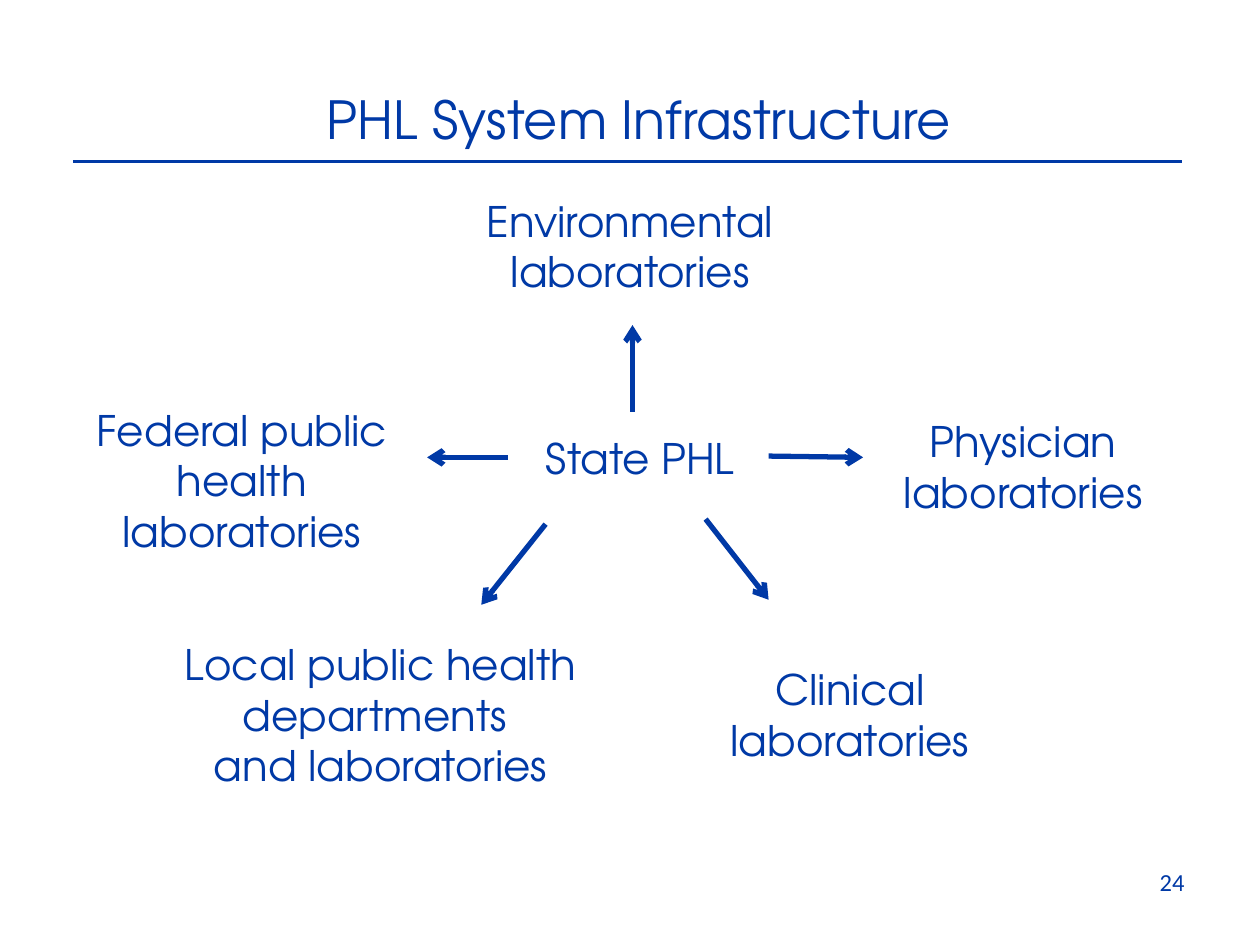
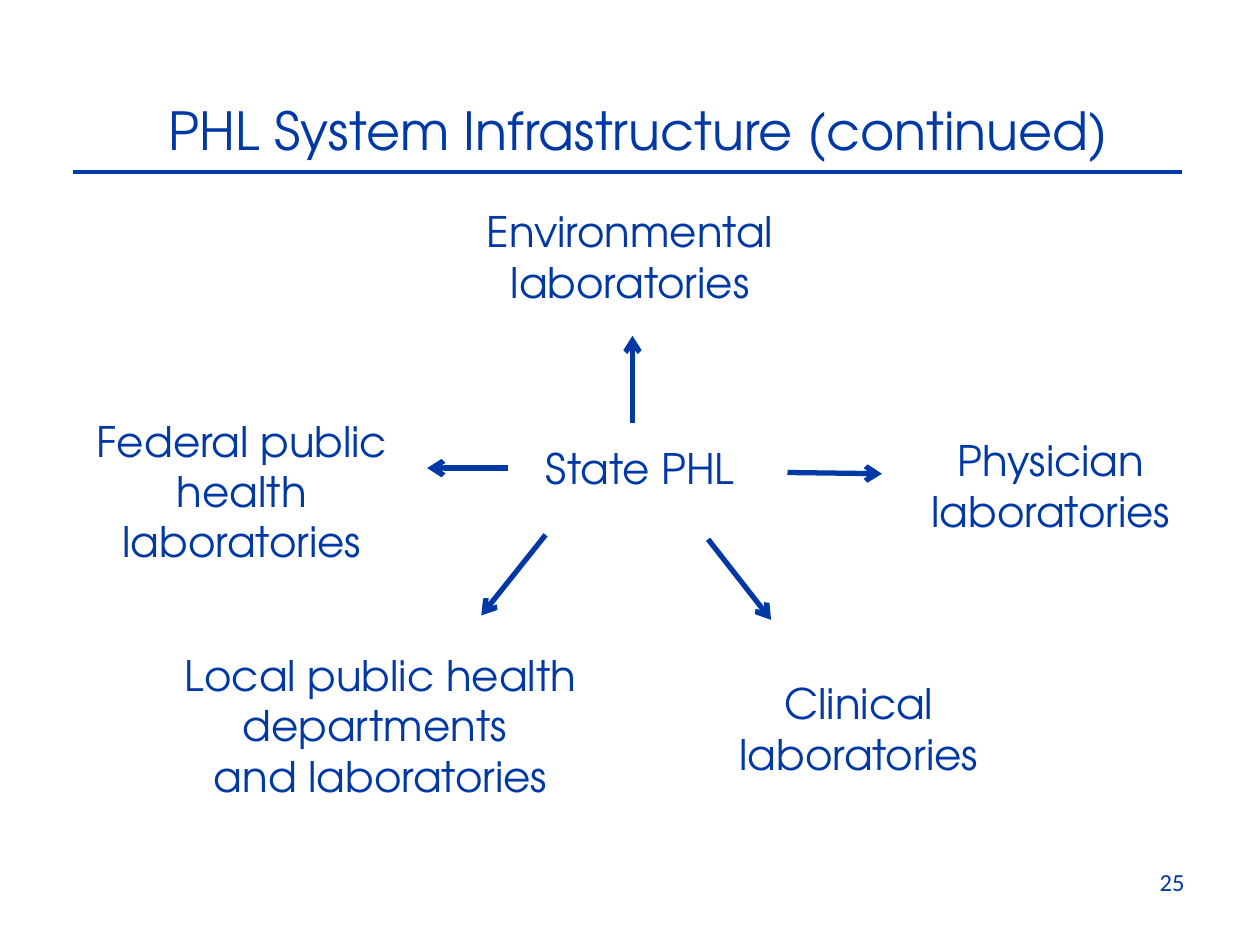
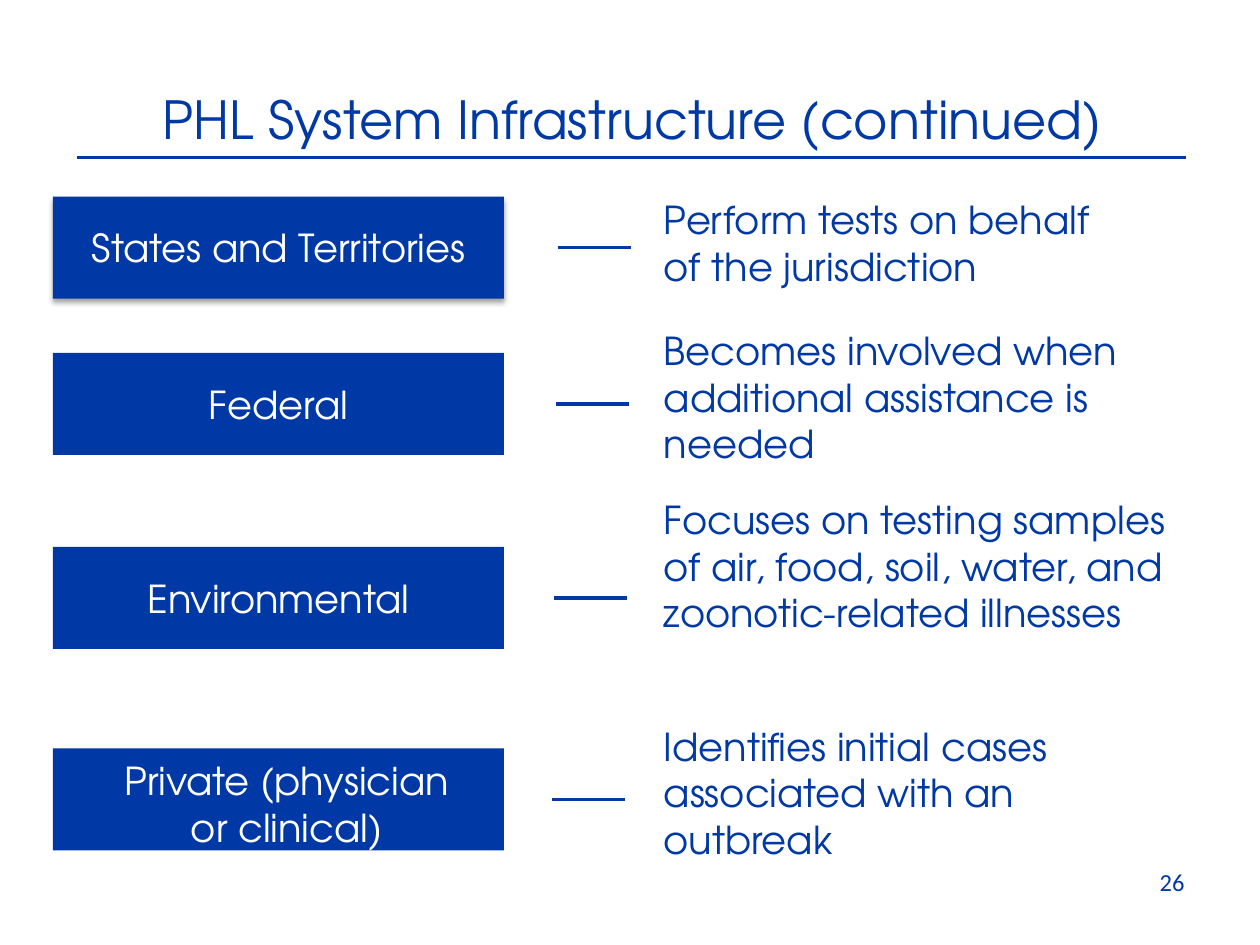
from dataclasses import dataclass

from lxml import etree
from pptx import Presentation
from pptx.dml.color import RGBColor
from pptx.enum.shapes import MSO_CONNECTOR, MSO_SHAPE
from pptx.enum.text import MSO_ANCHOR, MSO_AUTO_SIZE, PP_ALIGN
from pptx.oxml import parse_xml
from pptx.oxml.ns import nsdecls, qn
from pptx.util import Inches, Pt

LEFT, MID, RIGHT = PP_ALIGN.LEFT, PP_ALIGN.CENTER, PP_ALIGN.RIGHT
TOP, CENTER = MSO_ANCHOR.TOP, MSO_ANCHOR.MIDDLE
GROW = MSO_AUTO_SIZE.SHAPE_TO_FIT_TEXT
RECT, LINE = MSO_SHAPE.RECTANGLE, MSO_CONNECTOR.STRAIGHT
WIDE, HIGH = Inches(10), Inches(7.5)
COLS, ROWS = 100, 75


@dataclass(frozen=True)
class Theme:
    blue: RGBColor = RGBColor(0x00, 0x39, 0xA6)
    white: RGBColor = RGBColor(0xFF, 0xFF, 0xFF)
    font: str = "TeX Gyre Adventor"
    plain: str = "Calibri"
    title: int = 30
    label: int = 24
    body: int = 22
    page: int = 14
    rule: int = 2
    arrow: int = 3


THEME = Theme()


def col(n):
    return int(WIDE * n / COLS)


def row(n):
    return int(HIGH * n / ROWS)


def area(x, y, w, h):
    return col(x), row(y), col(w), row(h)


def write(shape, text, size, align=MID, color=THEME.blue, font=THEME.font, anchor=TOP):
    frame = shape.text_frame
    frame.text = text
    frame.word_wrap = True
    frame.vertical_anchor = anchor
    for para in frame.paragraphs:
        para.alignment = align
        for run in para.runs:
            run.font.size = Pt(size)
            run.font.name = font
            run.font.color.rgb = color
    return frame


def label(slide, text, spot, size=THEME.label, align=MID):
    box = slide.shapes.add_textbox(*area(*spot))
    write(box, text, size, align).auto_size = GROW


def line(slide, start, end, width=THEME.rule, head=False):
    (x1, y1), (x2, y2) = start, end
    link = slide.shapes.add_connector(LINE, col(x1), row(y1), col(x2), row(y2))
    link.line.color.rgb = THEME.blue
    link.line.width = Pt(width)
    if head:
        etree.SubElement(link.line._get_or_add_ln(), qn("a:tailEnd"), type="arrow")
    etree.SubElement(link._element.spPr, qn("a:effectLst"))


def shade(shape):
    shape._element.spPr.append(parse_xml(
        f'<a:effectLst {nsdecls("a")}>'
        '<a:outerShdw blurRad="39370" dist="22860" dir="5400000" rotWithShape="0">'
        '<a:srgbClr val="000000"><a:alpha val="35000"/></a:srgbClr>'
        '</a:outerShdw></a:effectLst>'))


def block(slide, text, y, nudge, raised):
    box = slide.shapes.add_shape(RECT, *area(4.2, y, 35.8, 8.1))
    box.fill.solid()
    box.fill.fore_color.rgb = THEME.blue
    box.line.fill.background()
    if raised:
        shade(box)
    else:
        box.shadow.inherit = False
    frame = write(box, text, THEME.body, color=THEME.white, anchor=CENTER)
    frame.margin_left = col(1 + nudge)
    frame.margin_top = row(nudge / 2)
    frame.margin_bottom = 0


def page(deck, title, spot, rule, number):
    slide = deck.slides.add_slide(deck.slide_layouts[5])
    head = slide.shapes.title
    head.left, head.top, head.width, head.height = area(*spot, 80.4, 6.1)
    write(head, title, THEME.title).auto_size = GROW
    x, y = rule
    line(slide, (x, y), (x + 88, y))
    foot = slide.shapes.add_textbox(*area(71.7, 68.3, 23.3, 5.2))
    write(foot, str(number), THEME.page, RIGHT, font=THEME.plain)
    return slide


def star(deck, title, number, drop, moves):
    slide = page(deck, title, (10.5, 6.4 + drop), (5.8, 12.8 + drop), number)
    labels = [
        ("State PHL", 35.8, 33.8, 30, 5, "hub"),
        ("Environmental\nlaboratories", 35, 15, 30, 9.1, "north"),
        ("Physician\nlaboratories", 66.2, 32.5, 30, 9.1, "east"),
        ("Local public health departments \nand laboratories", 12.5, 50.2, 35.4, 13.1, "local"),
        ("Federal public health\nlaboratories", 4.2, 31.6, 30, 13.1, "west"),
        ("Clinical\nlaboratories", 56, 52.2, 22.9, 9.1, "clinic"),
    ]
    arrows = [
        (50.2, 32.7, 50.2, 25.8, "up"),
        (40.3, 36.3, 33.9, 36.3, "left"),
        (61, 36.2, 68.5, 36.3, "right"),
        (43.3, 41.6, 38.2, 48, "down"),
        (56, 41.2, 61, 47.6, "slant"),
    ]
    for text, x, y, w, h, key in labels:
        dx, dy = moves.get(key, (0, 0))
        label(slide, text, (x + dx, y + drop + dy, w, h))
    for x1, y1, x2, y2, key in arrows:
        dx, dy = moves.get(key, (0, 0))
        dy += drop
        line(slide, (x1 + dx, y1 + dy), (x2 + dx, y2 + dy), THEME.arrow, True)


def roles(deck, title, number):
    slide = page(deck, title, (10, 6.4), (6.1, 12.5), number)
    items = [
        ("States and Territories", 15.6, 0,
         "Perform tests on behalf\vof the jurisdiction", 15.1, 47.5, 8.4),
        ("Federal", 28, 0,
         "Becomes involved when additional assistance is needed", 25.5, 40.4, 12.1),
        ("Environmental", 43.4, 0,
         "Focuses on testing samples of air, food, soil, water, and zoonotic-related illnesses",
         38.9, 42.2, 15.8),
        ("Private (physician\vor clinical)", 59.4, 1.3,
         "Identifies initial cases associated with an outbreak", 56.9, 39.6, 12.1),
    ]
    for i, (name, y, nudge, note, top, w, h) in enumerate(items):
        block(slide, name, y, nudge, raised=i == 0)
        x, mid = 44.3 - 0.17 * i, y + 4.05
        line(slide, (x, mid), (x + 5.8, mid))
        label(slide, note, (51.7, top, w, h), THEME.body, LEFT)


def main():
    deck = Presentation()
    deck.slide_width, deck.slide_height = WIDE, HIGH
    title = "PHL System Infrastructure"
    more = f"{title} (continued)"
    star(deck, title, 24, 0, {})
    star(deck, more, 25, 0.85, {
        "east": (2.2, 0.65), "right": (1.5, 0.45),
        "clinic": (0.7, 0.25), "slant": (0.2, 0.75),
    })
    roles(deck, more, 26)
    deck.save("out.pptx")


if __name__ == "__main__":
    main()
